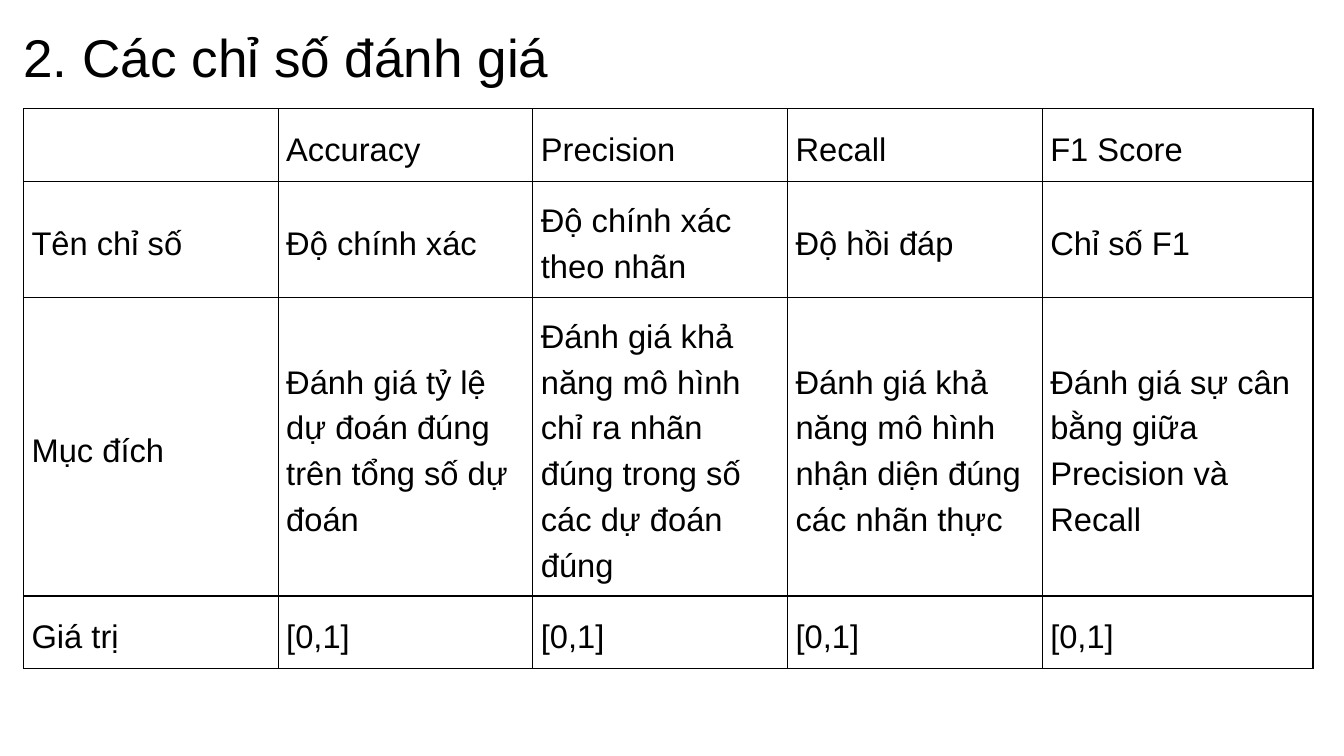
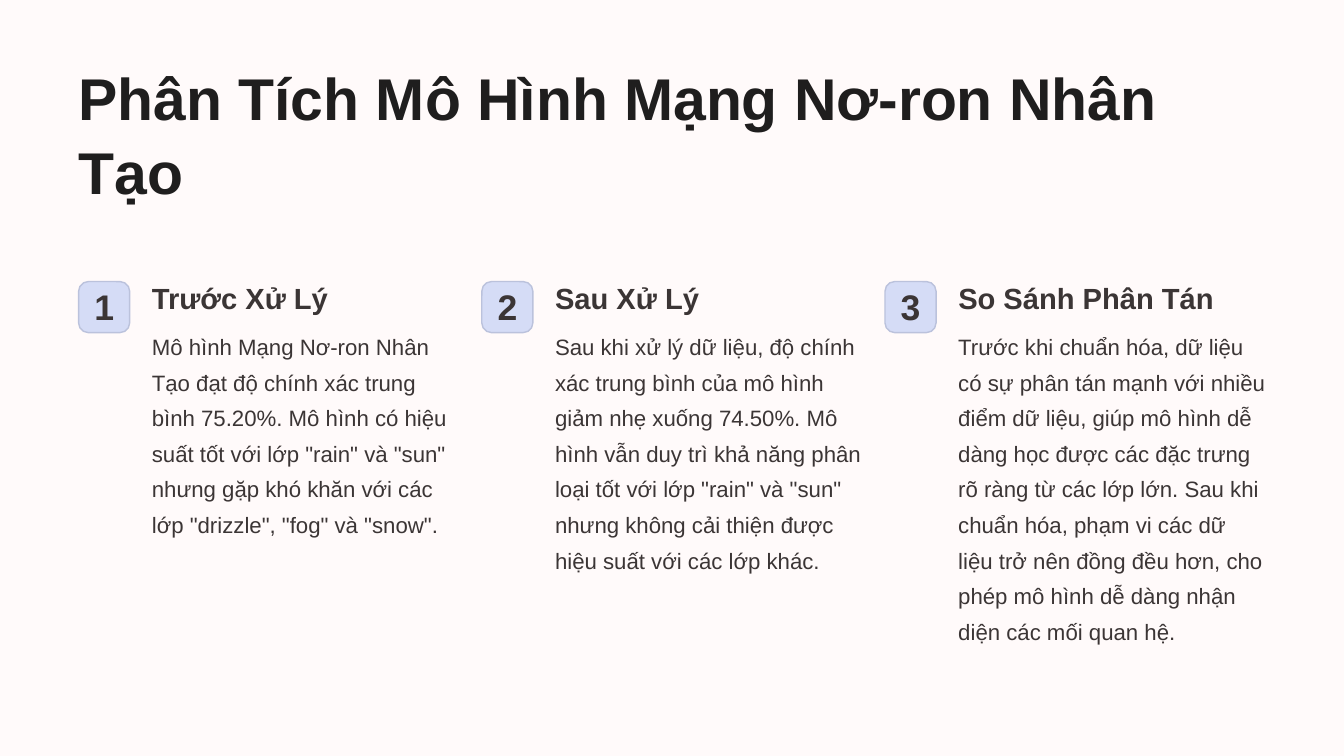
import pptx
import pptx.dml.color
import pptx.enum.shapes
import pptx.enum.text
import pptx.oxml
import pptx.oxml.ns
import pptx.util
from dataclasses import dataclass

METRICS_TITLE = "2. Các chỉ số đánh giá"
METRICS = [
    ["", "Accuracy", "Precision", "Recall", "F1 Score"],
    ["Tên chỉ số", "Độ chính xác", "Độ chính xác theo nhãn", "Độ hồi đáp", "Chỉ số F1"],
    ["Mục đích",
     "Đánh giá tỷ lệ dự đoán đúng trên tổng số dự đoán",
     "Đánh giá khả năng mô hình chỉ ra nhãn đúng trong số các dự đoán đúng",
     "Đánh giá khả năng mô hình nhận diện đúng các nhãn thực",
     "Đánh giá sự cân bằng giữa Precision và Recall"],
    ["Giá trị"] + ["[0,1]"] * 4,
]
ANALYSIS_TITLE = "Phân Tích Mô Hình Mạng Nơ-ron Nhân Tạo"
FINDINGS = [
    ("Trước Xử Lý",
     "Mô hình Mạng Nơ-ron Nhân Tạo đạt độ chính xác trung bình 75.20%. "
     "Mô hình có hiệu suất tốt với lớp \"rain\" và \"sun\" nhưng gặp khó khăn "
     "với các lớp \"drizzle\", \"fog\" và \"snow\"."),
    ("Sau Xử Lý",
     "Sau khi xử lý dữ liệu, độ chính xác trung bình của mô hình giảm nhẹ xuống "
     "74.50%. Mô hình vẫn duy trì khả năng phân loại tốt với lớp \"rain\" và "
     "\"sun\" nhưng không cải thiện được hiệu suất với các lớp khác."),
    ("So Sánh Phân Tán",
     "Trước khi chuẩn hóa, dữ liệu có sự phân tán mạnh với nhiều điểm dữ liệu, "
     "giúp mô hình dễ dàng học được các đặc trưng rõ ràng từ các lớp lớn. Sau khi "
     "chuẩn hóa, phạm vi các dữ liệu trở nên đồng đều hơn, cho phép mô hình dễ dàng "
     "nhận diện các mối quan hệ."),
]


@dataclass(frozen=True)
class Style:
    size: float
    leading: float
    color: str
    bold: bool = False
    align: str = "LEFT"


class Theme:
    font = "Arial"
    paper = "FFFFFF"
    cream = "FFFAFA"
    badge_fill = "D5DCF6"
    badge_line = "BBC2DC"
    border = "000000"
    rule = 1.5
    title = Style(56.9, 70.3, "000000")
    cell = Style(35, 49, "000000")
    headline = Style(63.1, 79.4, "1F1E1E", True)
    number = Style(38.1, 38.1, "3B3535", True, "CENTER")
    heading = Style(31.2, 39.4, "3B3535", True)
    body = Style(23.8, 38.1, "3B3535")


WIDTH, HEIGHT = 20, 11.25
TABLE_LEFT, TABLE_TOP = 0.35, 1.62
COLUMNS = [3.79] * 4 + [4.03]
ROWS = [1.08, 1.73, 4.44, 1.08]
CELL_INSET = 0.12
MARGIN, PITCH = 1.17, 6
BADGE_TOP, BADGE, BADGE_RADIUS = 4.19, 0.76, 0.19
NUMBER_WIDTH, TEXT_INDENT = 0.32, 1.09

inch = pptx.util.Inches


def rgb(color):
    return pptx.dml.color.RGBColor.from_string(color)


def write(tf, text, style):
    p = tf.paragraphs[0]
    p.alignment = getattr(pptx.enum.text.PP_ALIGN, style.align)
    p.line_spacing = pptx.util.Pt(style.leading)
    r = p.add_run()
    r.text = text
    r.font.name = Theme.font
    r.font.size = pptx.util.Pt(style.size)
    r.font.bold = style.bold
    r.font.color.rgb = rgb(style.color)


def add_text(s, left, top, width, height, text, style):
    tf = s.shapes.add_textbox(inch(left), inch(top), inch(width), inch(height)).text_frame
    tf.margin_left = tf.margin_right = tf.margin_top = tf.margin_bottom = 0
    tf.word_wrap = True
    tf.auto_size = pptx.enum.text.MSO_AUTO_SIZE.SHAPE_TO_FIT_TEXT
    write(tf, text, style)


def add_slide(prs, background):
    s = prs.slides.add_slide(prs.slide_layouts[6])
    s.background.fill.solid()
    s.background.fill.fore_color.rgb = rgb(background)
    return s


def draw_borders(cell):
    """Put the side lines before the fill, as the schema orders them."""
    tc_pr = cell._tc.get_or_add_tcPr()
    for i, side in enumerate(("lnL", "lnR", "lnT", "lnB")):
        tc_pr.insert(i, pptx.oxml.parse_xml(
            f'<a:{side} {pptx.oxml.ns.nsdecls("a")} w="{pptx.util.Pt(Theme.rule)}">'
            f'<a:solidFill><a:srgbClr val="{Theme.border}"/></a:solidFill></a:{side}>'))


def add_metrics_slide(prs):
    s = add_slide(prs, Theme.paper)
    table = s.shapes.add_table(
        len(ROWS), len(COLUMNS), inch(TABLE_LEFT), inch(TABLE_TOP),
        inch(sum(COLUMNS)), inch(sum(ROWS))).table
    table.first_row = table.horz_banding = False
    for column, width in zip(table.columns, COLUMNS):
        column.width = inch(width)
    for row, height, texts in zip(table.rows, ROWS, METRICS):
        row.height = inch(height)
        for cell, text in zip(row.cells, texts):
            cell.fill.background()
            cell.vertical_anchor = pptx.enum.text.MSO_ANCHOR.MIDDLE
            cell.margin_left = cell.margin_right = inch(CELL_INSET)
            cell.margin_top = cell.margin_bottom = inch(CELL_INSET)
            draw_borders(cell)
            if text:
                write(cell.text_frame, text, Theme.cell)
    add_text(s, TABLE_LEFT, 0.34, 7.82, 0.99, METRICS_TITLE, Theme.title)


def add_badge(s, left, number):
    badge = s.shapes.add_shape(
        pptx.enum.shapes.MSO_SHAPE.ROUNDED_RECTANGLE,
        inch(left), inch(BADGE_TOP), inch(BADGE), inch(BADGE))
    badge.adjustments[0] = BADGE_RADIUS
    badge.shadow.inherit = False
    badge.fill.solid()
    badge.fill.fore_color.rgb = rgb(Theme.badge_fill)
    badge.line.color.rgb = rgb(Theme.badge_line)
    badge.line.width = pptx.util.Pt(Theme.rule)
    add_text(s, left + (BADGE - NUMBER_WIDTH) / 2, 4.35, NUMBER_WIDTH, 0.53,
             str(number), Theme.number)


def add_analysis_slide(prs):
    s = add_slide(prs, Theme.cream)
    add_text(s, MARGIN, 0.86, WIDTH - 2 * MARGIN, 1.1, ANALYSIS_TITLE, Theme.headline)
    for i, (heading, body) in enumerate(FINDINGS):
        left = MARGIN + i * PITCH
        add_badge(s, left, i + 1)
        add_text(s, left + TEXT_INDENT, 4.15, 4.42, 0.55, heading, Theme.heading)
        add_text(s, left + TEXT_INDENT, 4.83, 4.57, 3.71, body, Theme.body)


def main():
    prs = pptx.Presentation()
    prs.slide_width, prs.slide_height = inch(WIDTH), inch(HEIGHT)
    add_metrics_slide(prs)
    add_analysis_slide(prs)
    prs.save("out.pptx")


if __name__ == "__main__":
    main()
